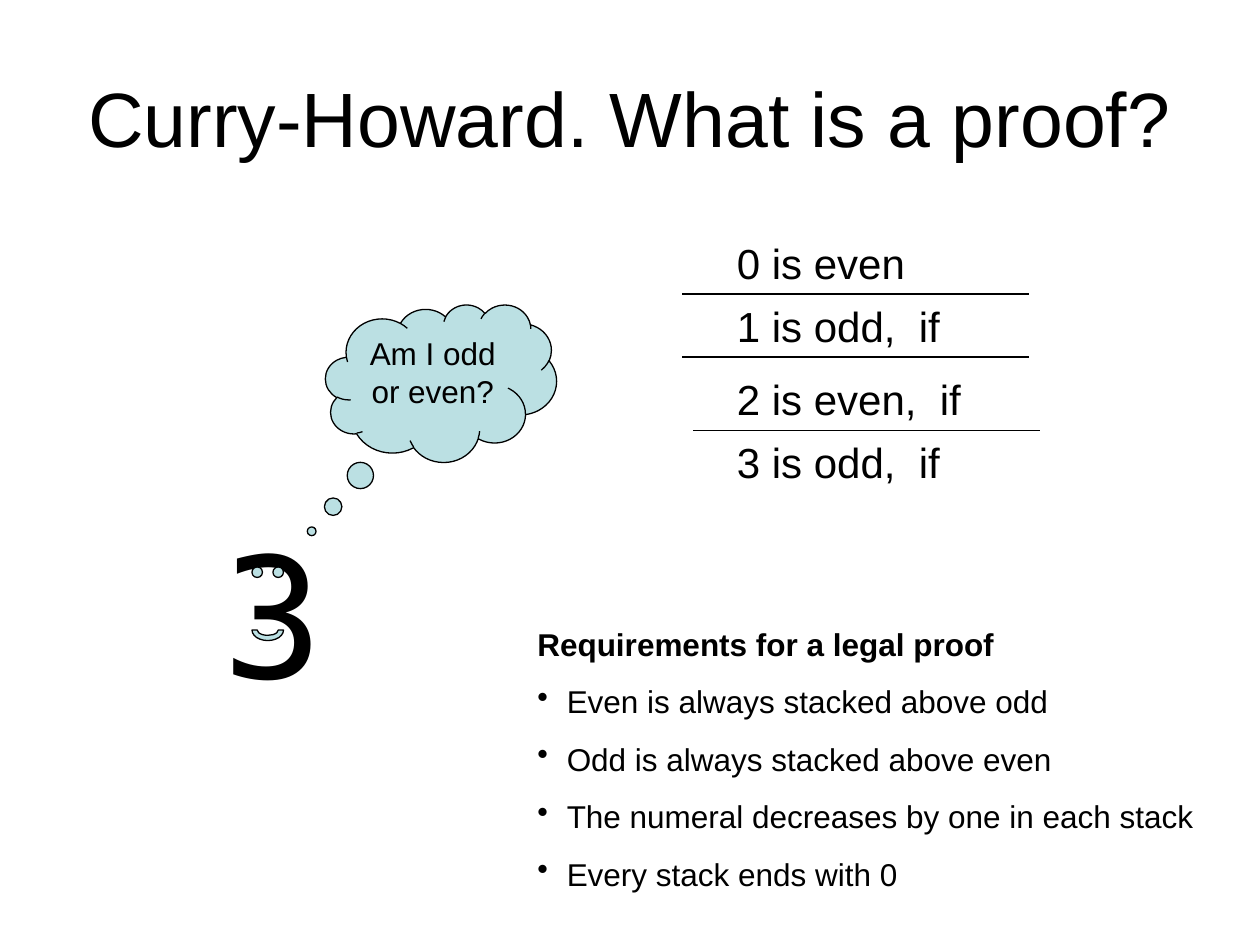
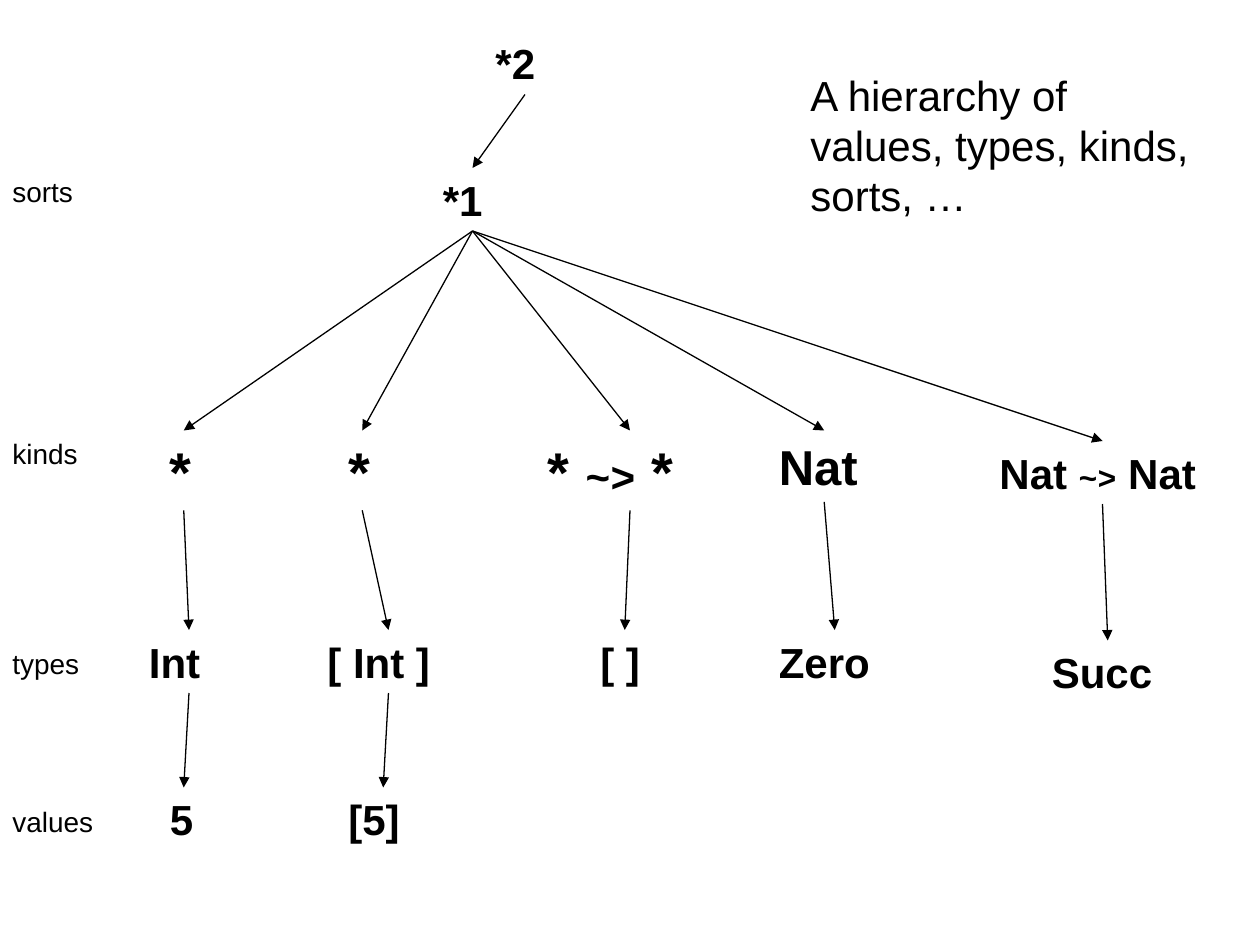
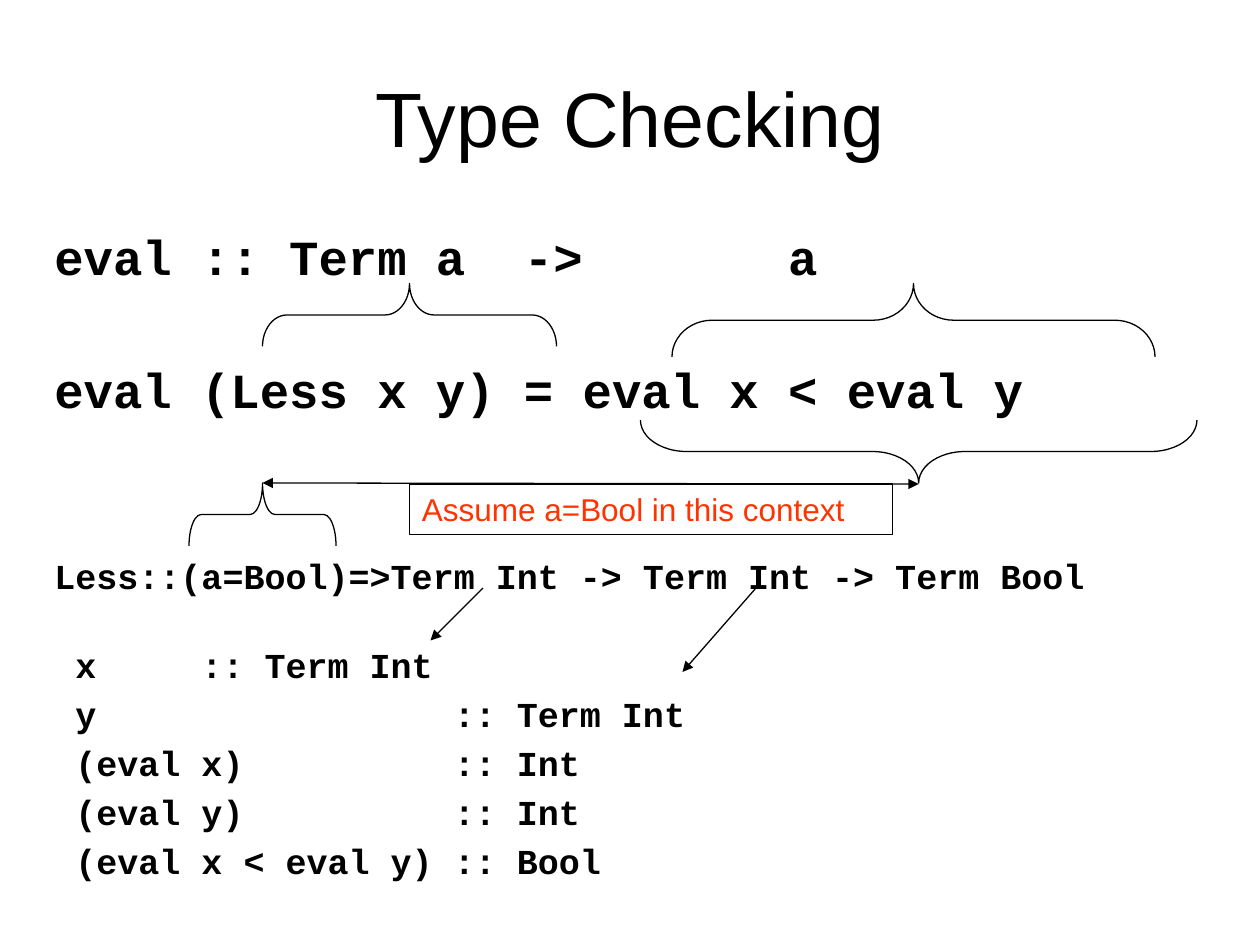
from lxml.etree import SubElement
from pptx import Presentation
from pptx.dml.color import RGBColor
from pptx.enum.shapes import MSO_CONNECTOR, MSO_SHAPE
from pptx.enum.text import MSO_ANCHOR, PP_ALIGN
from pptx.oxml.ns import qn
from pptx.util import Pt

PX = 7620
COLORS = {"ink": "000000", "pale": "BBE0E3", "alert": "FF3300"}
SANS, CODE, NUMERAL = "Arial", "Courier New", "DejaVu Sans Mono"
BULLET_INDENT = 28

PROOF_TITLE = "Curry-Howard. What is a proof?"
PROOF_STEPS = [("0 is even", 220), ("1 is odd,  if", 280),
               ("2 is even,  if", 350), ("3 is odd,  if", 410)]
PROOF_RULES = [(650, 280), (650, 340), (660, 410)]
RULE_LENGTH = 330
REQUIREMENTS_HEADING = "Requirements for a legal proof"
REQUIREMENTS = ["Even is always stacked above odd", "Odd is always stacked above even",
                "The numeral decreases by one in each stack", "Every stack ends with 0"]

HIERARCHY_NOTE = "A hierarchy of values, types, kinds, sorts, …"
LEVELS = [("sorts", 160), ("kinds", 410), ("types", 610), ("values", 760)]
NODES = [
    ("*2", 460, 30, 80, 24), ("*1", 410, 160, 80, 24),
    ("*", 150, 410, 50, 32), ("*", 320, 410, 50, 32), ("Nat", 730, 410, 110, 28),
    ("Int", 130, 600, 100, 24), ("[ Int ]", 300, 600, 140, 24), ("[ ]", 560, 600, 70, 24),
    ("Zero", 730, 600, 130, 24), ("Succ", 990, 610, 130, 24),
    ("5", 150, 750, 50, 24), ("[5]", 320, 750, 90, 24),
]
ARROW_KINDS = [("*", 510, 410, 180, 32, 24), ("Nat", 940, 420, 220, 24, 18)]
SORT_POINT = (450, 220)
KIND_POINTS = [(175, 410), (345, 410), (600, 410), (785, 410), (1050, 420)]
NODE_ARROWS = [
    ((500, 90), (450, 160)),
    ((175, 486), (180, 600)), ((345, 486), (370, 600)), ((600, 486), (595, 600)),
    ((785, 478), (795, 600)), ((1050, 480), (1055, 610)),
    ((180, 660), (175, 750)), ((370, 660), (365, 750)),
]

TYPE_TITLE = "Type Checking"
CODE_LINES = [
    ("eval :: Term a  ->       a", 28, 0),
    ("eval (Less x y) = eval x < eval y", 28, 42.5),
    ("Less::(a=Bool)=>Term Int -> Term Int -> Term Bool", 20, 77.5),
    (" x     :: Term Int", 20, 27),
    (" y                 :: Term Int", 20, 4),
    (" (eval x)          :: Int", 20, 4),
    (" (eval y)          :: Int", 20, 4),
    (" (eval x < eval y) :: Bool", 20, 4),
]
BRACES = [(250, 270, 280, 60, 90), (640, 270, 460, 70, 90),
          (610, 400, 530, 60, 270), (180, 460, 140, 60, 90)]
ASSUMPTION = "Assume a=Bool in this context"
TERM_ARROWS = [((460, 560), (410, 610)), ((720, 560), (650, 640))]


def color(name):
    return RGBColor.from_string(COLORS[name])


def set_font(font, size, name=SANS, bold=False, ink="ink"):
    font.size, font.name, font.bold = Pt(size), name, bold
    font.color.rgb = color(ink)


def scaled(*lengths):
    return [round(length * PX) for length in lengths]


def add_text(slide, text, box, size, name=SANS, bold=False):
    frame = slide.shapes.add_textbox(*scaled(*box)).text_frame
    frame.word_wrap = True
    paragraph = frame.paragraphs[0]
    paragraph.text = text
    set_font(paragraph.font, size, name, bold)
    return frame


def add_title(slide, text):
    frame = add_text(slide, text, (60, 36, 1080, 150), 44)
    frame.vertical_anchor = MSO_ANCHOR.MIDDLE
    frame.paragraphs[0].alignment = PP_ALIGN.CENTER


def add_outlined(slide, kind, box, fill=None, rotation=0):
    shape = slide.shapes.add_shape(kind, *scaled(*box))
    shape.shadow.inherit = False
    shape.rotation = rotation
    if fill:
        shape.fill.solid()
        shape.fill.fore_color.rgb = color(fill)
    else:
        shape.fill.background()
    shape.line.color.rgb = color("ink")
    shape.line.width = Pt(0.75)
    return shape


def label(shape, text, alignment, ink="ink"):
    frame = shape.text_frame
    frame.word_wrap = True
    frame.vertical_anchor = MSO_ANCHOR.TOP
    paragraph = frame.paragraphs[0]
    paragraph.text = text
    paragraph.alignment = alignment
    set_font(paragraph.font, 18, ink=ink)


def add_line(slide, start, end, ends=()):
    connector = slide.shapes.add_connector(MSO_CONNECTOR.STRAIGHT, *scaled(*start, *end))
    connector.line.color.rgb = color("ink")
    connector.line.width = Pt(0.75)
    outline = connector.line._get_or_add_ln()
    for end_name in ends:
        SubElement(outline, qn(f"a:{end_name}"), type="triangle")
    SubElement(connector._element.spPr, qn("a:effectLst"))


def add_arrow(slide, start, end):
    add_line(slide, start, end, ["tailEnd"])


def add_bullet(frame, text):
    paragraph = frame.add_paragraph()
    paragraph.text = text
    properties = paragraph._p.get_or_add_pPr()
    indent = BULLET_INDENT * PX
    properties.set("marL", str(indent))
    properties.set("indent", str(-indent))
    SubElement(properties, qn("a:buChar"), char="•")
    paragraph.space_before = Pt(11.25)
    set_font(paragraph.font, 18)


def add_brace(slide, left, top, length, depth, rotation):
    box = (left + (length - depth) / 2, top + (depth - length) / 2, depth, length)
    brace = add_outlined(slide, MSO_SHAPE.LEFT_BRACE, box, rotation=rotation)
    brace.adjustments[0] = length / (12 * depth)


def build_proof(slide):
    add_title(slide, PROOF_TITLE)
    add_text(slide, "3", (200, 480, 130, 204), 96, NUMERAL)
    cloud = add_outlined(slide, MSO_SHAPE.CLOUD_CALLOUT, (310, 290, 220, 150), "pale")
    cloud.adjustments[0], cloud.adjustments[1] = -0.56, 0.94
    label(cloud, "Am I odd or even?", PP_ALIGN.CENTER)
    for eye_left in (240, 260):
        add_outlined(slide, MSO_SHAPE.OVAL, (eye_left, 540, 10, 10), "pale")
    add_outlined(slide, MSO_SHAPE.BLOCK_ARC, (240, 590, 30, 20), "pale", 180)
    for text, top in PROOF_STEPS:
        add_text(slide, text, (690, top, 350, 60), 24)
    for left, top in PROOF_RULES:
        add_line(slide, (left, top), (left + RULE_LENGTH, top))
    frame = add_text(slide, REQUIREMENTS_HEADING, (500, 589, 660, 268), 18, bold=True)
    for requirement in REQUIREMENTS:
        add_bullet(frame, requirement)


def build_hierarchy(slide):
    for text, left, top, width, size in NODES:
        add_text(slide, text, (left, top, width, 60), size, bold=True)
    for operand, left, top, width, size, arrow_size in ARROW_KINDS:
        frame = add_text(slide, operand + " ", (left, top, width, 60), size, bold=True)
        for text, run_size, name in (("~>", arrow_size, CODE), (" " + operand, size, SANS)):
            run = frame.paragraphs[0].add_run()
            run.text = text
            set_font(run.font, run_size, name, True)
    for kind_point in KIND_POINTS:
        add_arrow(slide, SORT_POINT, kind_point)
    for start, end in NODE_ARROWS:
        add_arrow(slide, start, end)
    add_text(slide, HIERARCHY_NOTE, (760, 60, 400, 156), 24)
    for text, top in LEVELS:
        add_text(slide, text, (0, top, 200, 44), 16)


def build_type_checking(slide):
    add_title(slide, TYPE_TITLE)
    (first, size, _), *others = CODE_LINES
    frame = add_text(slide, first, (40, 210, 1140, 660), size, CODE, True)
    for text, size, gap in others:
        paragraph = frame.add_paragraph()
        paragraph.text = text
        paragraph.space_before = Pt(gap)
        set_font(paragraph.font, size, CODE, True)
    for brace in BRACES:
        add_brace(slide, *brace)
    add_line(slide, (250, 460), (875, 461), ["headEnd", "tailEnd"])
    assumption = add_outlined(slide, MSO_SHAPE.RECTANGLE, (390, 461, 460, 48))
    label(assumption, ASSUMPTION, PP_ALIGN.LEFT, "alert")
    for start, end in TERM_ARROWS:
        add_arrow(slide, start, end)


def main():
    presentation = Presentation()
    presentation.slide_width, presentation.slide_height = scaled(1200, 900)
    for build in (build_proof, build_hierarchy, build_type_checking):
        build(presentation.slides.add_slide(presentation.slide_layouts[6]))
    presentation.save("out.pptx")


if __name__ == "__main__":
    main()
